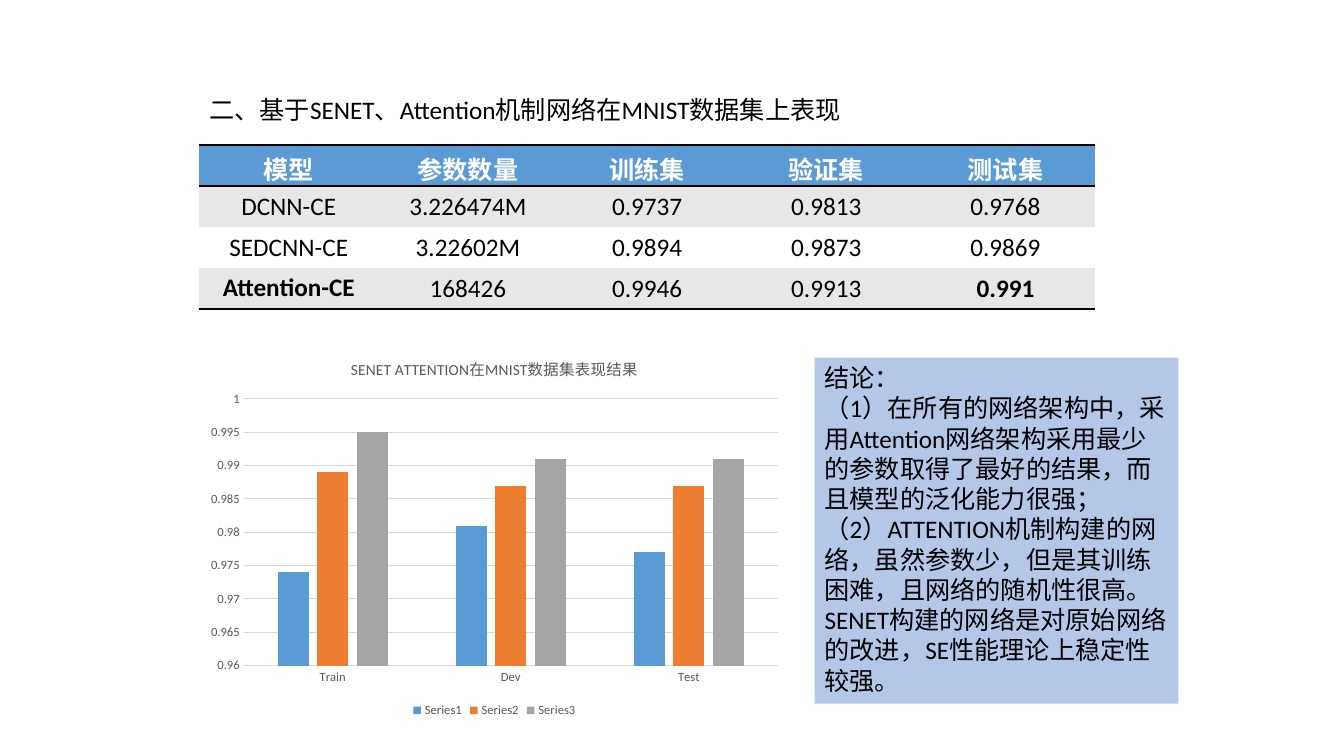
from lxml import etree
from pptx import Presentation
from pptx.chart import data
from pptx.dml.color import RGBColor
from pptx.enum import chart as charts, shapes, text
from pptx.oxml import ns
from pptx.util import Cm, Pt

BLACK = RGBColor(0x00, 0x00, 0x00)
WHITE = RGBColor(0xFF, 0xFF, 0xFF)
BLUE = RGBColor(0x5B, 0x9B, 0xD5)
ORANGE = RGBColor(0xED, 0x7D, 0x31)
GREY = RGBColor(0xA5, 0xA5, 0xA5)
BAND = RGBColor(0xE7, 0xE7, 0xE7)
GRID = RGBColor(0xD9, 0xD9, 0xD9)
LABEL = RGBColor(0x59, 0x59, 0x59)
PALE_BLUE = RGBColor(0xB4, 0xC7, 0xE7)
NO_GRID_STYLE = "{2D5ABB26-0587-4C30-8999-92F81FD0307C}"


def style(font, size, color, bold=False):
    font.name = "Calibri"
    font.size = Pt(size)
    font.color.rgb = color
    font.bold = bold


def add_border(cell, side, position):
    line = etree.Element(ns.qn(f"a:{side}"), w=str(Pt(2)))
    fill = etree.SubElement(line, ns.qn("a:solidFill"))
    etree.SubElement(fill, ns.qn("a:srgbClr"), val=str(BLACK))
    cell._tc.get_or_add_tcPr().insert(position, line)


deck = Presentation()
deck.slide_width, deck.slide_height = Cm(33.87), Cm(19.05)
slide = deck.slides.add_slide(deck.slide_layouts[5])
left = Cm(5.02)

heading = slide.shapes.title
heading.left, heading.top, heading.width, heading.height = left, Cm(2.26), Cm(24.05), Cm(1.02)
heading.text_frame.text = "二、基于SENET、Attention机制网络在MNIST数据集上表现"
heading.text_frame.auto_size = text.MSO_AUTO_SIZE.SHAPE_TO_FIT_TEXT
heading.text_frame.vertical_anchor = text.MSO_ANCHOR.TOP
heading.text_frame.paragraphs[0].alignment = text.PP_ALIGN.LEFT
style(heading.text_frame.paragraphs[0].runs[0].font, 18, BLACK)

results = [
    ["模型", "参数数量", "训练集", "验证集", "测试集"],
    ["DCNN-CE", "3.226474M", "0.9737", "0.9813", "0.9768"],
    ["SEDCNN-CE", "3.22602M", "0.9894", "0.9873", "0.9869"],
    ["Attention-CE", "168426", "0.9946", "0.9913", "0.991"],
]
last = len(results) - 1
table = slide.shapes.add_table(4, 5, left, Cm(3.66), Cm(22.58), Cm(4.12)).table
table.first_row = table.horz_banding = False
table._tbl.tblPr.find(ns.qn("a:tableStyleId")).text = NO_GRID_STYLE

for r, values in enumerate(results):
    for c, value in enumerate(values):
        cell = table.cell(r, c)
        cell.text_frame.text = value
        paragraph = cell.text_frame.paragraphs[0]
        paragraph.alignment = text.PP_ALIGN.CENTER
        bold = r == 0 or (r == last and c in (0, 4))
        style(paragraph.runs[0].font, 18, WHITE if r == 0 else BLACK, bold)
        cell.fill.solid()
        cell.fill.fore_color.rgb = BLUE if r == 0 else BAND if r % 2 else WHITE
        if r > 0 and c > 0:
            cell.vertical_anchor = text.MSO_ANCHOR.MIDDLE
            cell.margin_left = cell.margin_right = cell.margin_top = Cm(0.03)
            cell.margin_bottom = 0
        if r in (0, last):
            add_border(cell, "lnB", 0)
        if r == 0:
            add_border(cell, "lnT", 0)

scores = data.CategoryChartData()
scores.categories = ["Train", "Dev", "Test"]
for number, values in enumerate(results[1:], 1):
    scores.add_series(f"Series{number}", [round(float(value), 3) for value in values[2:]])
chart = slide.shapes.add_chart(
    charts.XL_CHART_TYPE.COLUMN_CLUSTERED, left, Cm(8.56), Cm(14.88), Cm(9.63), scores
).chart
style(chart.font, 10, BLACK)
chart.has_title = True
chart.chart_title.include_in_layout = False
chart.chart_title.text_frame.text = "SENET ATTENTION在MNIST数据集表现结果"
style(chart.chart_title.text_frame.paragraphs[0].runs[0].font, 11, LABEL)
chart.has_legend = True
chart.legend.position = charts.XL_LEGEND_POSITION.BOTTOM
chart.legend.include_in_layout = False
style(chart.legend.font, 9, LABEL)

bars = chart.plots[0]
bars.vary_by_categories = False
bars.gap_width, bars.overlap = 219, -27
for series, color in zip(bars.series, [BLUE, ORANGE, GREY]):
    series.format.fill.solid()
    series.format.fill.fore_color.rgb = color

for axis in (chart.category_axis, chart.value_axis):
    axis.major_tick_mark = axis.minor_tick_mark = charts.XL_TICK_MARK.NONE
    style(axis.tick_labels.font, 9, LABEL)
chart.value_axis.minimum_scale, chart.value_axis.maximum_scale = 0.96, 1
chart.value_axis.major_unit = 0.005
chart.value_axis.tick_labels.number_format = "General"
chart.value_axis.tick_labels.number_format_is_linked = False
chart.value_axis.format.line.fill.background()
for line in (chart.category_axis.format.line, chart.value_axis.major_gridlines.format.line):
    line.color.rgb = GRID
    line.width = Pt(0.75)

conclusion = slide.shapes.add_shape(
    shapes.MSO_SHAPE.RECTANGLE, Cm(20.53), Cm(9.01), Cm(9.17), Cm(8.72)
)
conclusion.shadow.inherit = False
conclusion.fill.solid()
conclusion.fill.fore_color.rgb = PALE_BLUE
conclusion.line.fill.background()
conclusion.text_frame.text = "\n".join([
    "结论：",
    "（1）在所有的网络架构中，采用Attention网络架构采用最少的参数取得了最好的结果，而且模型的泛化能力很强；",
    "（2）ATTENTION机制构建的网络，虽然参数少，但是其训练困难，且网络的随机性很高。"
    "SENET构建的网络是对原始网络的改进，SE性能理论上稳定性较强。",
])
conclusion.text_frame.word_wrap = True
conclusion.text_frame.auto_size = text.MSO_AUTO_SIZE.SHAPE_TO_FIT_TEXT
conclusion.text_frame.vertical_anchor = text.MSO_ANCHOR.TOP
for paragraph in conclusion.text_frame.paragraphs:
    paragraph.alignment = text.PP_ALIGN.LEFT
    style(paragraph.runs[0].font, 18, BLACK)

deck.save("out.pptx")
